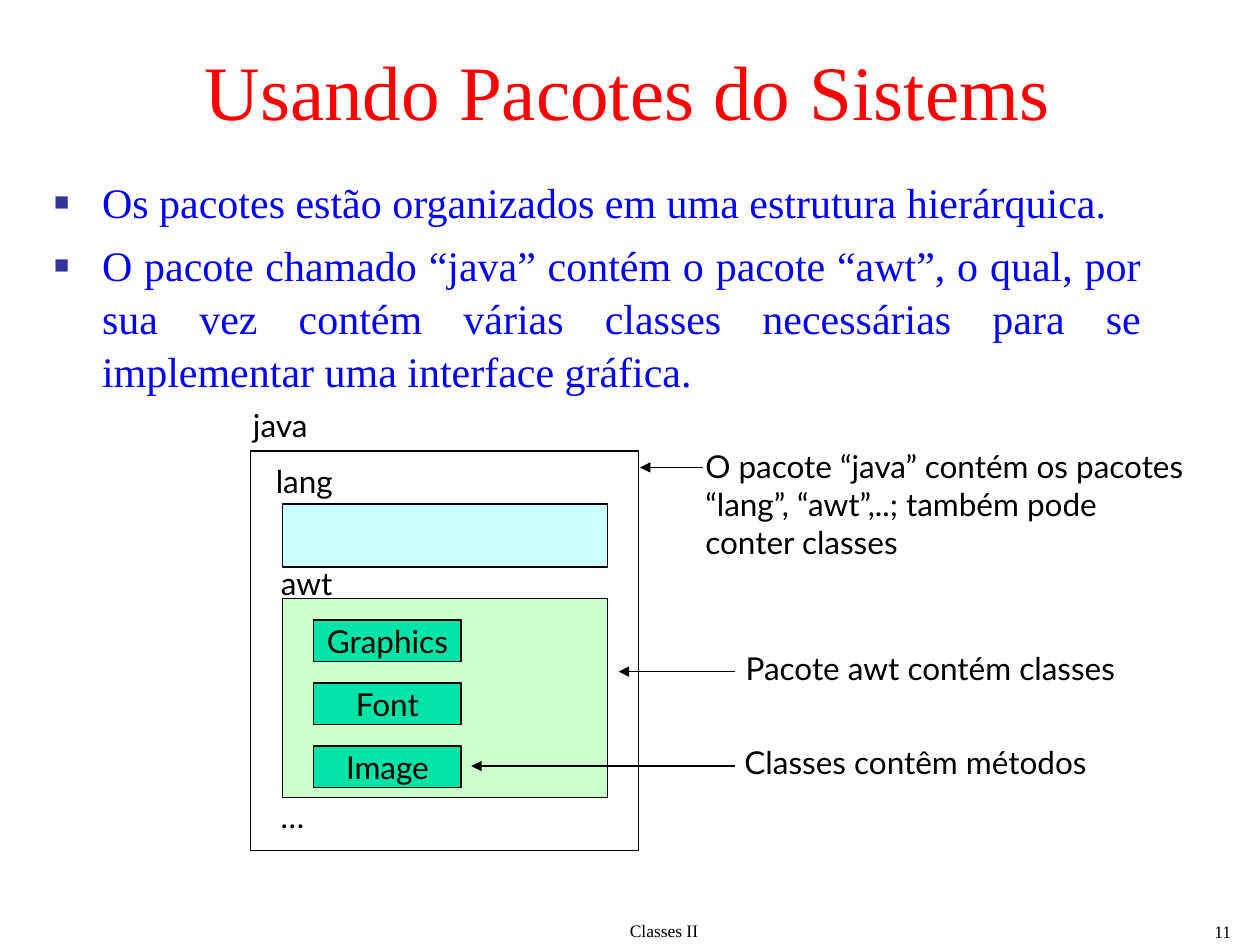
import pptx
import pptx.dml.color
import pptx.enum.shapes
import pptx.enum.text
import pptx.oxml
import pptx.oxml.ns
import pptx.util

Inches = pptx.util.Inches
Pt = pptx.util.Pt
ALIGN = pptx.enum.text.PP_ALIGN
ANCHOR = pptx.enum.text.MSO_ANCHOR
AUTO = pptx.enum.text.MSO_AUTO_SIZE

COLORS = {
    "white": "FFFFFF",
    "black": "000000",
    "title": "FF0000",
    "body": "0000FF",
    "bullet": "333399",
    "lang": "CCFFFF",
    "awt": "CCFFCC",
    "class": "00E4A8",
}
SERIF = "Times New Roman"
SANS = "Lato"


def rgb(name):
    return pptx.dml.color.RGBColor.from_string(COLORS[name])


def add_run(p, text, size, font=SANS, color="black"):
    r = p.add_run()
    r.text = text
    r.font.size = Pt(size)
    r.font.name = font
    r.font.color.rgb = rgb(color)


def place(sp, left, top, width, height):
    sp.left, sp.top = Inches(left), Inches(top)
    sp.width, sp.height = Inches(width), Inches(height)


def add_text(s, lines, left, top, width, height, size=18, font=SANS,
             align=ALIGN.LEFT, anchor=ANCHOR.TOP):
    sp = s.shapes.add_textbox(Inches(left), Inches(top), Inches(width), Inches(height))
    tf = sp.text_frame
    tf.word_wrap = False
    tf.auto_size = AUTO.SHAPE_TO_FIT_TEXT
    tf.vertical_anchor = anchor
    for i, line in enumerate(lines):
        p = tf.add_paragraph() if i else tf.paragraphs[0]
        p.alignment = align
        add_run(p, line, size, font)


def add_box(s, left, top, width, height, fill=None, text=None):
    sp = s.shapes.add_shape(pptx.enum.shapes.MSO_SHAPE.RECTANGLE, Inches(left),
                            Inches(top), Inches(width), Inches(height))
    sp.shadow.inherit = False
    if fill:
        sp.fill.solid()
        sp.fill.fore_color.rgb = rgb(fill)
    else:
        sp.fill.background()
    sp.line.color.rgb = rgb("black")
    sp.line.width = Pt(0.75)
    if text:
        tf = sp.text_frame
        tf.word_wrap = False
        tf.vertical_anchor = ANCHOR.MIDDLE
        tf.paragraphs[0].alignment = ALIGN.CENTER
        add_run(tf.paragraphs[0], text, 18)


def add_left_arrow(s, start, end, y):
    line = s.shapes.add_connector(pptx.enum.shapes.MSO_CONNECTOR.STRAIGHT,
                                  Inches(start), Inches(y), Inches(end), Inches(y))
    line.line.color.rgb = rgb("black")
    line.line.width = Pt(0.75)
    ns = pptx.oxml.ns.nsdecls("a")
    ln = line.line._get_or_add_ln()
    ln.append(pptx.oxml.parse_xml(f'<a:tailEnd {ns} type="triangle"/>'))
    ln.addnext(pptx.oxml.parse_xml(f"<a:effectLst {ns}/>"))


def add_bullet(p):
    """Give the paragraph a small square bullet with a hanging indent."""
    pPr = p._p.get_or_add_pPr()
    pPr.set("marL", str(Inches(0.38)))
    pPr.set("indent", str(Inches(-0.38)))
    ns = pptx.oxml.ns.nsdecls("a")
    for xml in (f'<a:buClr {ns}><a:srgbClr val="{COLORS["bullet"]}"/></a:buClr>',
                f'<a:buSzPct {ns} val="60000"/>',
                f'<a:buFont {ns} typeface="{SERIF}"/>',
                f'<a:buChar {ns} char="■"/>'):
        pPr.append(pptx.oxml.parse_xml(xml))


def fill_title(sp, text, box):
    place(sp, *box)
    sp.fill.solid()
    sp.fill.fore_color.rgb = rgb("white")
    tf = sp.text_frame
    tf.auto_size = AUTO.NONE
    tf.vertical_anchor = ANCHOR.MIDDLE
    tf.paragraphs[0].alignment = ALIGN.CENTER
    add_run(tf.paragraphs[0], text, 44, SERIF, "title")


def fill_body(sp, items, box):
    place(sp, *box)
    tf = sp.text_frame
    tf.auto_size = AUTO.NONE
    for i, item in enumerate(items):
        p = tf.add_paragraph() if i else tf.paragraphs[0]
        add_bullet(p)
        p.alignment = ALIGN.JUSTIFY
        p.line_spacing = 1.05
        p.space_before = Pt(6 if i else 0)
        add_run(p, item, 24, SERIF, "body")


def add_packages(s, left, top, width, height):
    """Draw the java package with its nested packages and classes."""
    inner = left + 0.25
    inner_width = width - 0.5
    add_box(s, left, top, width, height)
    add_box(s, inner, top + 0.42, inner_width, 0.5, "lang")
    add_box(s, inner, top + 1.17, inner_width, 1.58, "awt")
    for i, name in enumerate(("Graphics", "Font", "Image")):
        add_box(s, inner + 0.25, top + 1.34 + 0.5 * i, 1.17, 0.33, "class", name)
    for name, dx, dy, label_width in (("java", -0.08, -0.41, 0.67),
                                      ("lang", 0.1, 0.04, 0.71),
                                      ("awt", 0.14, 0.85, 0.62),
                                      ("…", 0.14, 2.7, 0.4)):
        add_text(s, [name], left + dx, top + dy, label_width, 0.4)


def add_notes(s, left, top):
    """Write the explanations and point each one at its package or class."""
    add_text(s, ["O pacote “java” contém os pacotes",
                 "“lang”, “awt”,..; também pode",
                 "conter classes"], left, top, 4.24, 1)
    add_text(s, ["Pacote awt contém classes"], left + 0.32, top + 1.6, 3.33, 0.4)
    add_text(s, ["Classes contêm métodos"], left + 0.31, top + 2.35, 3.12, 0.4)
    for start, end, dy in ((0.08, -0.42, 0.21), (0.33, -0.59, 1.83), (0.33, -1.76, 2.58)):
        add_left_arrow(s, left + start, left + end, top + dy)


def add_footer(s, top):
    add_text(s, ["Classes II"], 4.9, top, 0.74, 0.27, 10, SERIF, ALIGN.CENTER)
    add_text(s, ["11"], 9.51, top + 0.01, 0.36, 0.27, 10, SERIF, ALIGN.RIGHT, ANCHOR.BOTTOM)


def main():
    prs = pptx.Presentation()
    prs.slide_width, prs.slide_height = Inches(10), Inches(7.5)
    s = prs.slides.add_slide(prs.slide_layouts[1])
    fill_title(s.shapes.title, "Usando Pacotes do Sistems", (0.17, 0.17, 9.62, 1.08))
    fill_body(s.placeholders[1], [
        "Os pacotes estão organizados em uma estrutura hierárquica.",
        "O pacote chamado “java” contém o pacote “awt”, o qual, por sua vez "
        "contém várias classes necessárias para se implementar uma interface gráfica.",
    ], (0.33, 1.33, 8.83, 4.87))
    add_packages(s, 1.99, 3.58, 3.08, 3.17)
    add_notes(s, 5.5, 3.5)
    add_footer(s, 7.25)
    prs.save("out.pptx")


if __name__ == "__main__":
    main()
